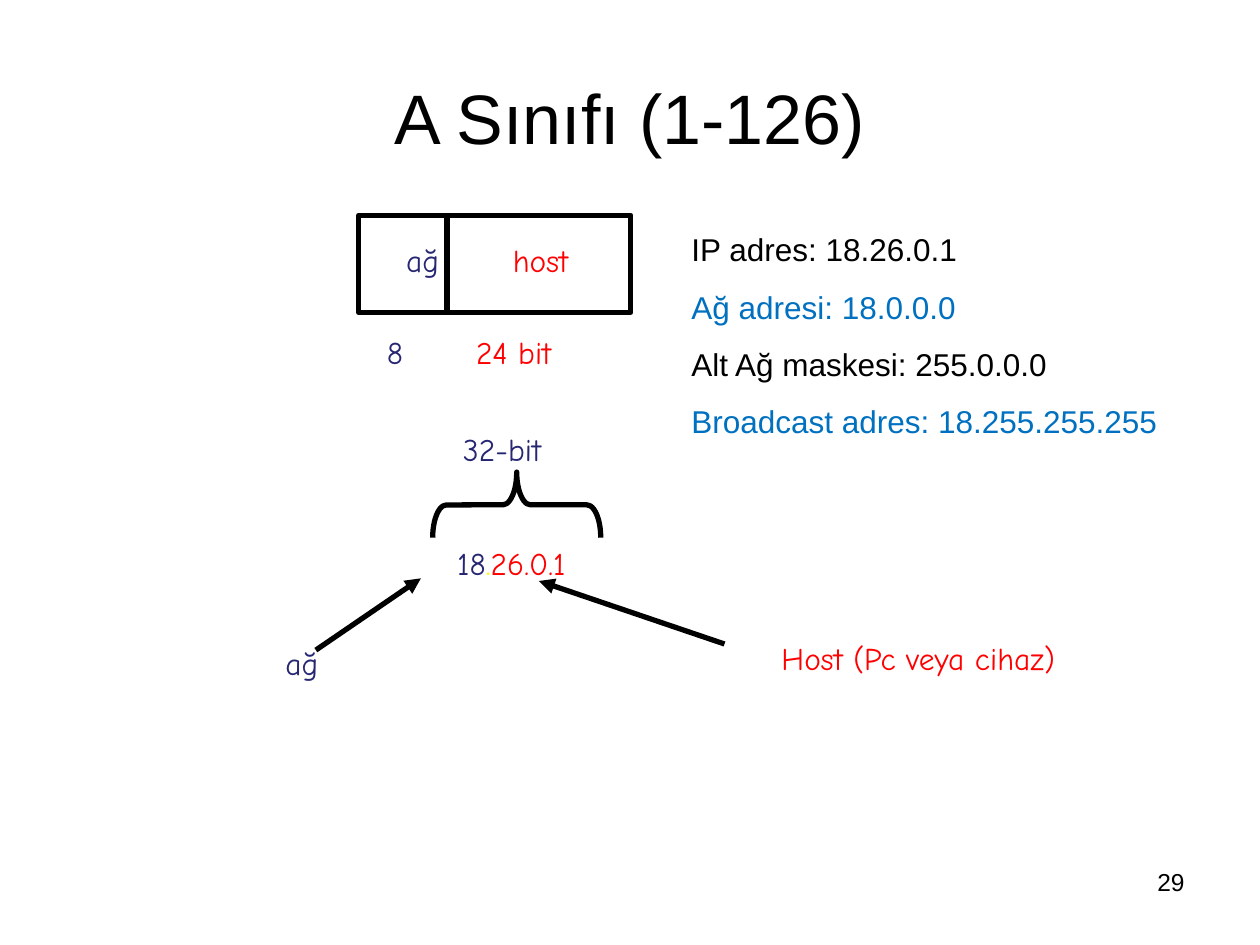
from lxml.etree import SubElement
from pptx import Presentation
from pptx.dml.color import RGBColor as Rgb
from pptx.enum.shapes import MSO_CONNECTOR as Link, MSO_SHAPE as Kind
from pptx.enum.text import MSO_ANCHOR as Anchor, PP_ALIGN as Align
from pptx.oxml.ns import qn
from pptx.util import Pt

HEX = {"black": "000000", "navy": "262673", "red": "FF0000",
       "yellow": "FFFF00", "blue": "0070C0"}
TITLE = "A Sınıfı (1-126)"
LABELS = [
    ("ağ", "navy", (225, 134, 40, 29)),
    ("host", "red", (286, 134, 56, 29)),
    ("8", "navy", (214, 187, 30, 29)),
    ("24 bit", "red", (265, 187, 64, 29)),
    ("32-bit", "navy", (257.5, 242, 66, 29)),
    ("ağ", "navy", (156, 364.5, 40, 29)),
    ("Host (Pc veya cihaz)", "red", (439.5, 361.5, 180, 29)),
]
ADDRESS = [[("18", "navy"), (".", "yellow"), ("26.0.1", "red")]]
FACTS = [
    [("IP adres: 18.26.0.1", "black")],
    [("Ağ adresi: 18.0.0.0", "blue")],
    [("Alt Ağ maskesi: 255.0.0.0", "black")],
    [("Broadcast adres: 18.255.255.255", "blue")],
]
FRAME = (205, 123, 155.5, 55.5)
BRACE = (276.5, 240.5, 37.5, 96)
SPLIT = (255.5, 122.5, 255.5, 178)
ARROWS = [(180.5, 371.5, 240.5, 330.5), (414, 368, 308, 332)]


def write(shape, rows, font="Comic Neue", size=18, align=Align.LEFT,
          anchor=Anchor.TOP, before=0):
    """Fill a shape with rows of coloured runs."""
    frame = shape.text_frame
    frame.word_wrap = True
    frame.vertical_anchor = anchor
    for i, row in enumerate(rows):
        para = frame.add_paragraph() if i else frame.paragraphs[0]
        para.alignment = align
        para.space_before = Pt(before)
        for text, tone in row:
            run = para.add_run()
            run.text = text
            run.font.name = font
            run.font.size = Pt(size)
            run.font.color.rgb = Rgb.from_string(HEX[tone])


def label(slide, rows, box, **form):
    """Add a text box."""
    write(slide.shapes.add_textbox(*map(Pt, box)), rows, **form)


def ink(line):
    """Set the heavy black stroke."""
    line.color.rgb = Rgb.from_string(HEX["black"])
    line.width = Pt(3)


def outline(slide, kind, box):
    """Add an unfilled shape."""
    shape = slide.shapes.add_shape(kind, *map(Pt, box))
    shape.shadow.inherit = False
    shape.fill.background()
    ink(shape.line)
    return shape


def stroke(slide, ends, head=False):
    """Add a straight line, with an arrowhead on request."""
    line = slide.shapes.add_connector(Link.STRAIGHT, *map(Pt, ends))
    ink(line.line)
    props = line._element.spPr
    if head:
        SubElement(props.find(qn("a:ln")), qn("a:tailEnd"), type="triangle")
    SubElement(props, qn("a:effectLst"))


def main():
    """Build the slide."""
    deck = Presentation()
    deck.slide_width, deck.slide_height = Pt(720), Pt(540)
    slide = deck.slides.add_slide(deck.slide_layouts[5])
    title = slide.shapes.title
    title.left, title.top, title.width, title.height = map(Pt, (36, 21.5, 648, 90))
    write(title, [[(TITLE, "black")]], font="Arial", size=40,
          align=Align.CENTER, anchor=Anchor.MIDDLE)

    for text, tone, box in LABELS:
        label(slide, [[(text, tone)]], box)
    label(slide, ADDRESS, (224.5, 307, 135.5, 29),
          align=Align.CENTER, anchor=Anchor.MIDDLE)
    label(slide, FACTS, (388, 128, 289.5, 127.5), font="Arial", before=11.2)
    label(slide, [[("29", "black")]], (516, 492, 168, 37.5),
          font="Arial", size=14, align=Align.RIGHT)

    outline(slide, Kind.RECTANGLE, FRAME)
    brace = outline(slide, Kind.LEFT_BRACE, BRACE)
    brace.rotation = 90
    brace.adjustments[0] = 0.21
    stroke(slide, SPLIT)
    for ends in ARROWS:
        stroke(slide, ends, head=True)
    deck.save("out.pptx")


if __name__ == "__main__":
    main()
